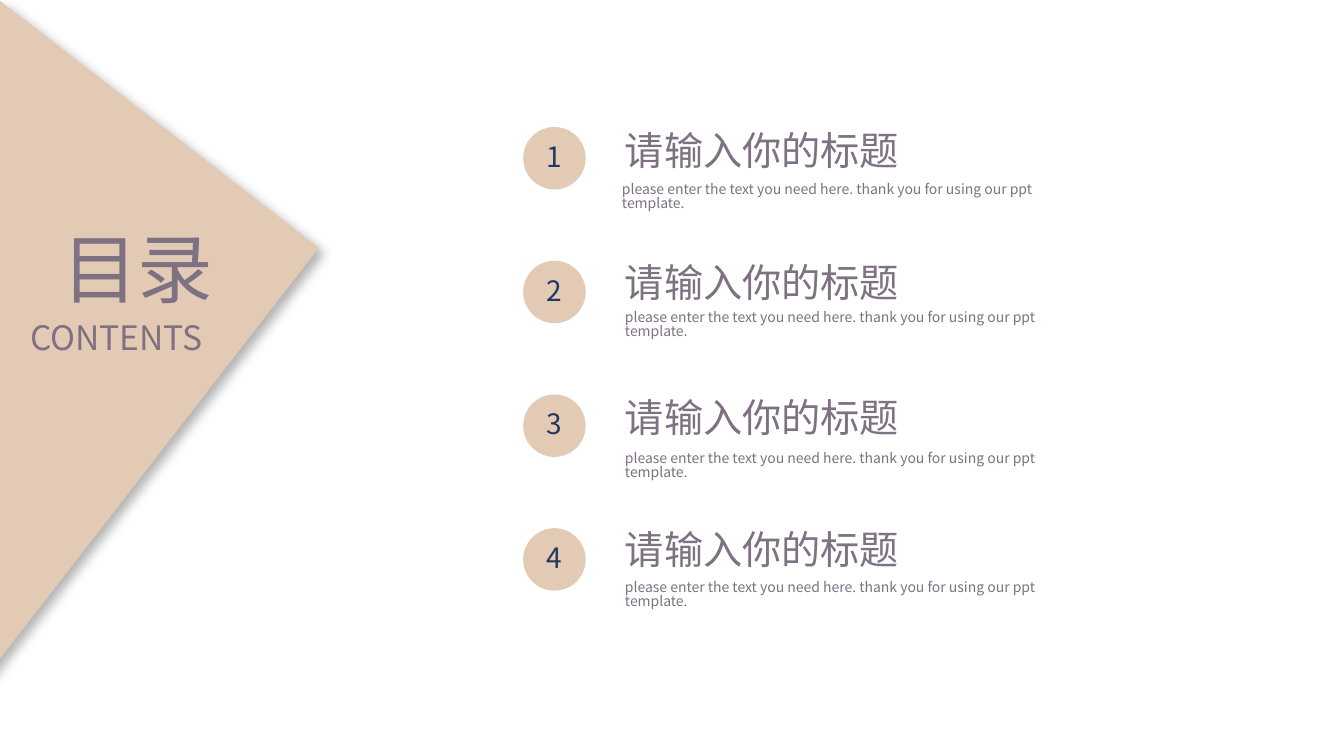
import pptx
import pptx.dml.color
import pptx.enum.shapes
import pptx.enum.text
import pptx.oxml
import pptx.oxml.ns
import pptx.util

COLORS = {"sand": "E3CAB4", "mauve": "7E7182", "navy": "203864", "shadow": "000000"}
FONT = "Noto Sans CJK SC"
WIDTH, HEIGHT = pptx.util.Inches(13.33), pptx.util.Inches(7.5)
COLUMN, ROW = WIDTH / 100, HEIGHT / 100

FORMATS = {
    "heading": {"size": 54, "color": "mauve", "line_spacing": 0.9},
    "subheading": {"size": 24, "color": "mauve", "line_spacing": 0.9},
    "number": {"size": 20, "color": "navy", "line_spacing": 0.9},
    "title": {"size": 28, "color": "mauve", "line_spacing": 0.9},
    "caption": {"size": 10, "color": "mauve", "line_spacing": 0.83},
}
TITLE = "请输入你的标题"
CAPTION = "please enter the text you need here. thank you for using our ppt template."
FIRST_TOP, PITCH = 16.8, 17.69
ENTRIES = [
    {"title_top": 0, "caption_left": 6.61, "caption_top": 6.8},
    {"title_top": -0.22, "caption_left": 6.83, "caption_top": 6.04},
    {"title_top": -0.05, "caption_left": 6.83, "caption_top": 7.02},
    {"title_top": -0.27, "caption_left": 6.83, "caption_top": 6.4},
]


def place(left, top, width, height):
    """Turn columns and rows of the grid into slide lengths."""
    return [round(value) for value in (left * COLUMN, top * ROW, width * COLUMN, height * ROW)]


def color_of(name):
    """Return the named colour."""
    return pptx.dml.color.RGBColor.from_string(COLORS[name])


def write(frame, text, style, align=pptx.enum.text.PP_ALIGN.LEFT):
    """Write one formatted line of text into a frame."""
    look = FORMATS[style]
    frame.word_wrap = True
    para = frame.paragraphs[0]
    for name, value in {"alignment": align, "line_spacing": look["line_spacing"]}.items():
        setattr(para, name, value)
    span = para.add_run()
    span.text = text
    for name, value in {"name": FONT, "size": pptx.util.Pt(look["size"])}.items():
        setattr(span.font, name, value)
    span.font.color.rgb = color_of(look["color"])
    east_asian = pptx.oxml.parse_xml(f'<a:ea {pptx.oxml.ns.nsdecls("a")} typeface="{FONT}"/>')
    span.font._element.append(east_asian)


def add_text(page, box, text, style):
    """Add a text box on the grid."""
    write(page.shapes.add_textbox(*place(*box)).text_frame, text, style)


def add_solid(page, kind, box):
    """Add a plain sand-coloured shape on the grid."""
    shape = page.shapes.add_shape(kind, *place(*box))
    shape.shadow.inherit = False
    shape.fill.solid()
    shape.fill.fore_color.rgb = color_of("sand")
    shape.line.fill.background()
    return shape


def cast_shadow(shape):
    """Give a shape a soft shadow towards the lower right."""
    effects = shape.element.spPr.find(pptx.oxml.ns.qn("a:effectLst"))
    effects.append(pptx.oxml.parse_xml(
        f'<a:outerShdw {pptx.oxml.ns.nsdecls("a")} blurRad="{pptx.util.Pt(8)}" '
        f'dist="{pptx.util.Pt(6)}" dir="2700000" algn="tl" rotWithShape="0">'
        f'<a:srgbClr val="{COLORS["shadow"]}"><a:alpha val="30000"/></a:srgbClr></a:outerShdw>'))


def add_heading_panel(page, left, top):
    """Draw the triangle at the left edge with the heading on it."""
    triangle = add_solid(page, pptx.enum.shapes.MSO_SHAPE.RIGHT_TRIANGLE,
                         (left - 23.93, top + 20.8, 44.34, 53.47))
    triangle.rotation = 127.8
    triangle.element.spPr.find(pptx.oxml.ns.qn("a:xfrm")).set("flipV", "1")
    cast_shadow(triangle)
    add_text(page, (left + 3.9, top + 30, 12.9, 13.47), "目录", "heading")
    add_text(page, (left + 1.5, top + 41.87, 15.38, 6.67), "CONTENTS", "subheading")


def add_entry(page, left, top, number, entry):
    """Draw one numbered contents entry from its upper left corner."""
    disc = add_solid(page, pptx.enum.shapes.MSO_SHAPE.OVAL, (left, top, 4.65, 8.27))
    disc.text_frame.vertical_anchor = pptx.enum.text.MSO_ANCHOR.MIDDLE
    write(disc.text_frame, str(number), "number", pptx.enum.text.PP_ALIGN.CENTER)
    add_text(page, (left + 6.83, top + entry["title_top"], 22.5, 7.6), TITLE, "title")
    add_text(page, (left + entry["caption_left"], top + entry["caption_top"], 35.48, 3.6),
             CAPTION, "caption")


def main():
    """Build the contents slide and save it."""
    deck = pptx.Presentation()
    deck.slide_width, deck.slide_height = WIDTH, HEIGHT
    page = deck.slides.add_slide(deck.slide_layouts[6])
    add_heading_panel(page, 0, 0)
    for index, entry in enumerate(ENTRIES):
        add_entry(page, 38.93, FIRST_TOP + index * PITCH, index + 1, entry)
    deck.save("out.pptx")


if __name__ == "__main__":
    main()
